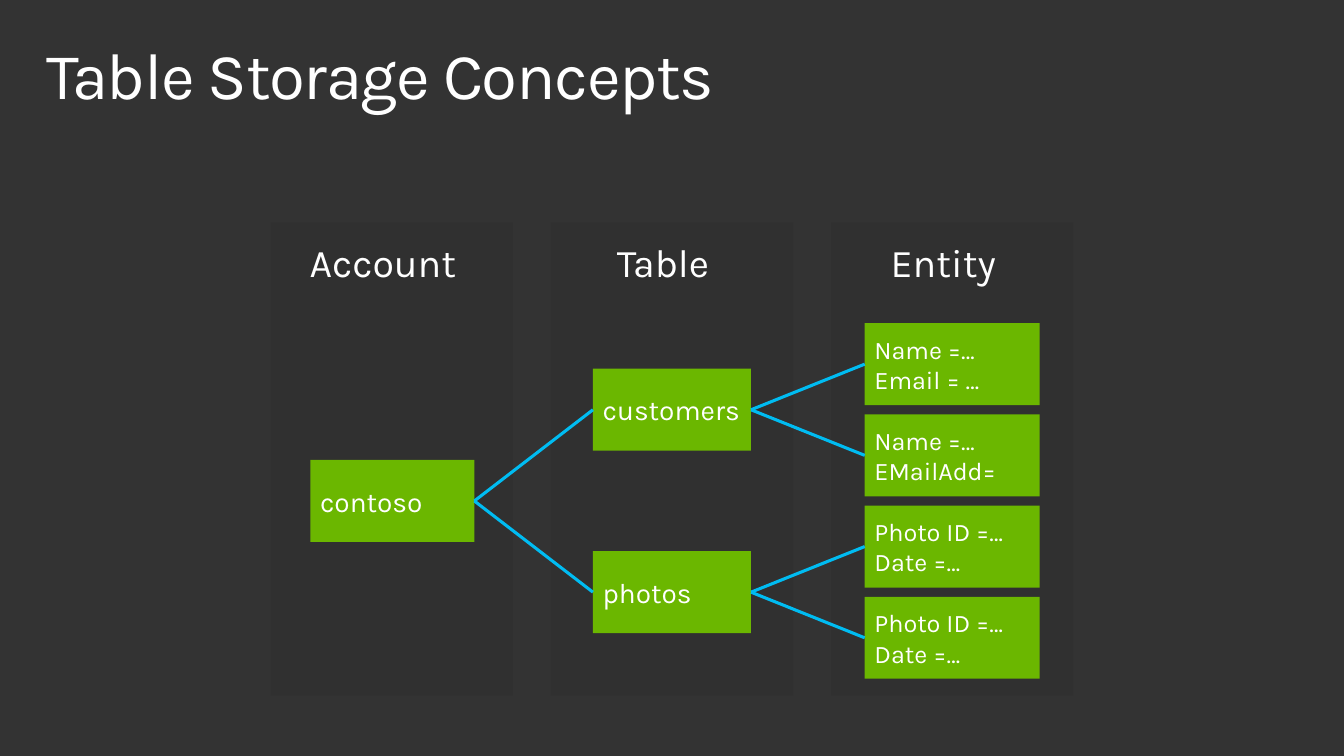
from lxml.etree import SubElement
from pptx import Presentation
from pptx.dml.color import RGBColor
from pptx.enum.shapes import MSO_CONNECTOR as CONNECTOR, MSO_SHAPE as SHAPE
from pptx.enum.text import MSO_ANCHOR as ANCHOR, MSO_AUTO_SIZE as AUTO_SIZE, PP_ALIGN as ALIGN
from pptx.oxml.ns import qn
from pptx.util import Inches, Pt

COLORS = {"background": "333333", "panel": "303030", "node": "6BB700",
          "link": "00BCF2", "text": "FFFFFF"}
FONT = "Karla"
NODE_HEIGHT = 0.83
ACCOUNT = "contoso"
TABLES = {
    "customers": ["Name =…\nEmail = …", "Name =…\nEMailAdd="],
    "photos": ["Photo ID =…\nDate =…", "Photo ID =…\nDate =…"],
}


def color(name):
    """Return the named colour."""
    return RGBColor.from_string(COLORS[name])


def write(frame, text, size, align=ALIGN.LEFT, line_spacing=1.0):
    """Fill a text frame and format its runs."""
    frame.text = text
    frame.word_wrap = True
    for paragraph in frame.paragraphs:
        paragraph.alignment = align
        paragraph.line_spacing = line_spacing
        for run in paragraph.runs:
            run.font.size = Pt(size)
            run.font.name = FONT
            run.font.color.rgb = color("text")


def set_margins(frame, left, top, right, bottom):
    """Set the four insets of a text frame in inches."""
    frame.margin_left, frame.margin_top = Inches(left), Inches(top)
    frame.margin_right, frame.margin_bottom = Inches(right), Inches(bottom)


def add_rectangle(slide, left, top, width, height, fill):
    """Add a flat rectangle without an outline."""
    rectangle = slide.shapes.add_shape(
        SHAPE.RECTANGLE, Inches(left), Inches(top), Inches(width), Inches(height))
    rectangle.shadow.inherit = False
    rectangle.fill.solid()
    rectangle.fill.fore_color.rgb = color(fill)
    rectangle.line.fill.background()
    return rectangle


def add_title(slide, left, top, width, height):
    """Place and format the slide title."""
    title = slide.shapes.title
    title.left, title.top = Inches(left), Inches(top)
    title.width, title.height = Inches(width), Inches(height)
    frame = title.text_frame
    frame.auto_size = AUTO_SIZE.NONE
    frame.vertical_anchor = ANCHOR.TOP
    set_margins(frame, 0.16, 0.1, 0.16, 0.1)
    write(frame, "Table Storage Concepts", 47.7, line_spacing=0.9)
    frame.paragraphs[0].runs[0].font._element.set("spc", "-100")


def add_panel(slide, heading, left, top, width, height):
    """Add a column panel with its heading."""
    add_rectangle(slide, left, top, width, height, "panel")
    label = slide.shapes.add_textbox(
        Inches(left), Inches(top), Inches(width), Inches(1.61))
    set_margins(label.text_frame, 0.1, 0.28, 0.28, 0.28)
    write(label.text_frame, heading, 28.6, ALIGN.CENTER, 0.9)


def add_node(slide, text, left, middle, width, size=20.4):
    """Add a green node centred on a height."""
    node = add_rectangle(
        slide, left, middle - NODE_HEIGHT / 2, width, NODE_HEIGHT, "node")
    node.text_frame.vertical_anchor = ANCHOR.MIDDLE
    set_margins(node.text_frame, 0.1, 0.05, 0, 0.05)
    write(node.text_frame, text, size)
    return node


def add_link(slide, parent, child):
    """Join the right side of a parent to the left side of a child."""
    link = slide.shapes.add_connector(CONNECTOR.STRAIGHT, 0, 0, 0, 0)
    link.begin_connect(parent, 3)
    link.end_connect(child, 1)
    link.line.color.rgb = color("link")
    link.line.width = Pt(2.25)
    SubElement(link._element.spPr, qn("a:effectLst"))


def add_storage_tree(slide, left, top):
    """Draw the account, its tables and their entities in three columns."""
    for column, heading in enumerate(["Account", "Table", "Entity"]):
        add_panel(slide, heading, left + column * 2.835, top, 2.45, 4.79)
    pitch = 0.923
    first_middle = top + 1.435
    account = add_node(slide, ACCOUNT, left + 0.4, first_middle + 1.5 * pitch, 1.66)
    for row, (name, entities) in enumerate(TABLES.items()):
        pair_top = first_middle + 2 * row * pitch
        table = add_node(slide, name, left + 3.26, pair_top + pitch / 2, 1.6)
        add_link(slide, account, table)
        for index, properties in enumerate(entities):
            entity = add_node(
                slide, properties, left + 6.01, pair_top + index * pitch, 1.77, 18.4)
            add_link(slide, table, entity)


def main():
    """Build and save the presentation."""
    presentation = Presentation()
    presentation.slide_width = Inches(13.6)
    presentation.slide_height = Inches(7.65)
    slide = presentation.slides.add_slide(presentation.slide_layouts[5])
    slide.background.fill.solid()
    slide.background.fill.fore_color.rgb = color("background")
    add_title(slide, 0.31, 0.33, 11.02, 1.03)
    add_storage_tree(slide, 2.74, 2.25)
    presentation.save("out.pptx")


if __name__ == "__main__":
    main()
